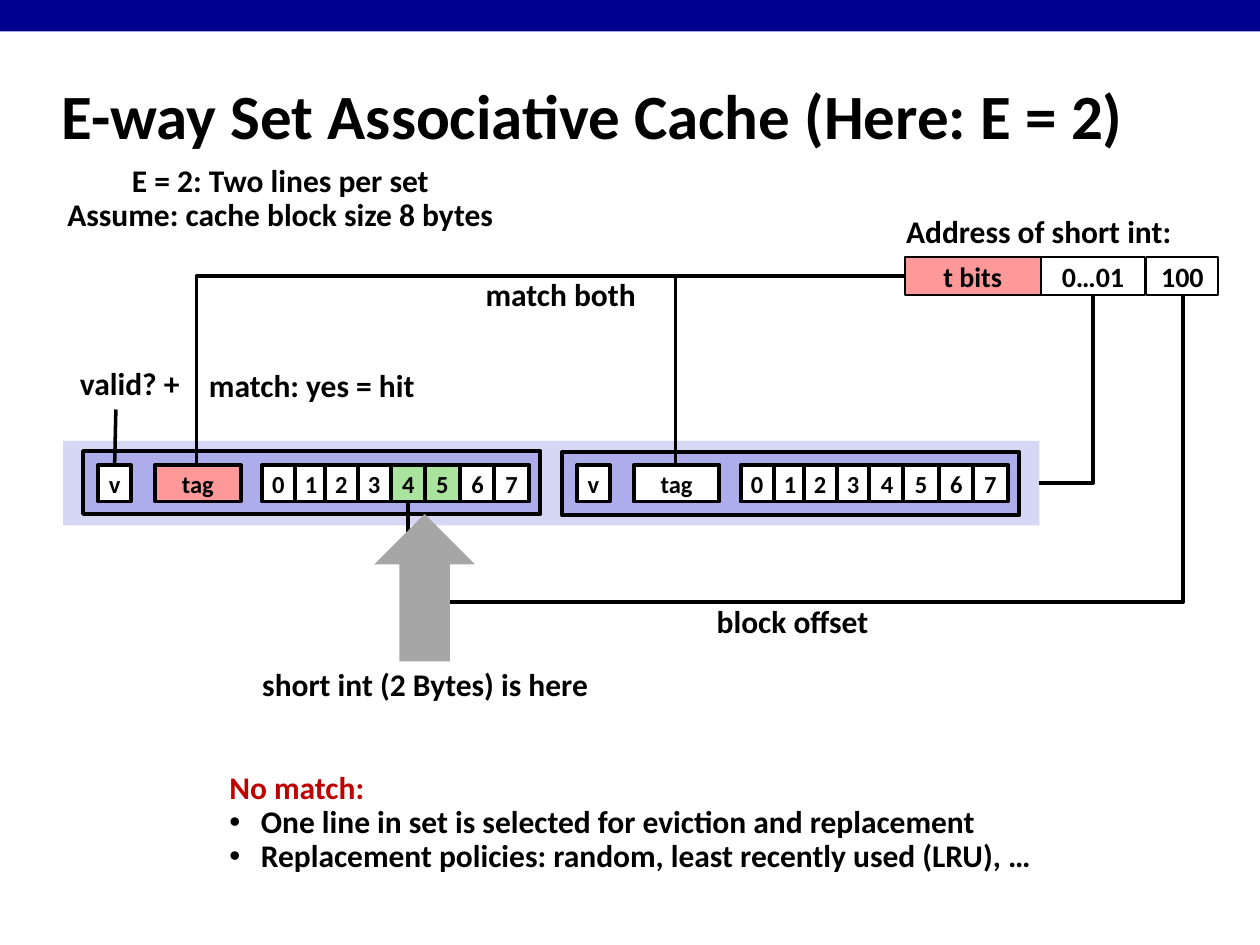
from lxml import etree
from pptx import Presentation
from pptx.dml.color import RGBColor
from pptx.enum import shapes, text
from pptx.oxml.ns import qn
from pptx.util import Inches, Pt

FONT = "Calibri"
BLACK, WHITE, RED = "000000", "FFFFFF", "C00000"
NAVY, PINK, GREEN, GRAY = "000090", "FF9999", "A9E39D", "A6A6A6"
SET_BLUE, LINE_BLUE = "D6D6F5", "ADADEB"
LEFT, CENTER = text.PP_ALIGN.LEFT, text.PP_ALIGN.CENTER
TOP, MIDDLE = text.MSO_ANCHOR.TOP, text.MSO_ANCHOR.MIDDLE
FIT, FIXED = text.MSO_AUTO_SIZE.SHAPE_TO_FIT_TEXT, text.MSO_AUTO_SIZE.NONE


def paint(color_format, hex_color):
    color_format.rgb = RGBColor.from_string(hex_color)


def place(shape, left, top, width, height):
    shape.left, shape.top = Inches(left), Inches(top)
    shape.width, shape.height = Inches(width), Inches(height)


def write(shape, lines, size=18, color=BLACK, align=CENTER, anchor=TOP,
          spacing=0.9, wrap=False, fit=FIXED, inset=None):
    """Fill a shape with bold paragraphs, one for each line."""
    frame = shape.text_frame
    frame.word_wrap, frame.auto_size = wrap, fit
    frame.vertical_anchor = anchor
    if inset is not None:
        frame.margin_left = frame.margin_right = Inches(inset)
        frame.margin_top = frame.margin_bottom = Inches(inset)
    for index, line in enumerate(lines):
        paragraph = frame.paragraphs[0] if index == 0 else frame.add_paragraph()
        paragraph.alignment, paragraph.line_spacing = align, spacing
        paragraph.space_before = Pt(0)
        run = paragraph.add_run()
        run.text = line
        run.font.name, run.font.size, run.font.bold = FONT, Pt(size), True
        paint(run.font.color, color)


def indent(paragraph, hanging, bullet=None):
    """Set a hanging indent and a bullet, or no bullet."""
    properties = paragraph._p.get_or_add_pPr()
    properties.set("marL", str(Inches(hanging)))
    properties.set("indent", str(-Inches(hanging)))
    if bullet:
        font = etree.SubElement(properties, qn("a:buFont"))
        font.set("typeface", "Arial")
        etree.SubElement(properties, qn("a:buChar")).set("char", bullet)
    else:
        etree.SubElement(properties, qn("a:buNone"))


def label(slide, lines, left, top, width, height=0.4):
    box = slide.shapes.add_textbox(0, 0, 0, 0)
    write(box, lines, fit=FIT)
    place(box, left, top, width, height)


def block(parent, left, top, width, height, fill, line=None,
          kind=shapes.MSO_SHAPE.RECTANGLE):
    shape = parent.shapes.add_shape(
        kind, Inches(left), Inches(top), Inches(width), Inches(height))
    shape.shadow.inherit = False
    shape.fill.solid()
    paint(shape.fill.fore_color, fill)
    if line:
        paint(shape.line.color, BLACK)
        shape.line.width = Pt(line)
    else:
        shape.line.fill.background()
    return shape


def wire(slide, start, end, preset="line", rotation=0, adjust=None):
    """Connect two points; rotated bends are given by their unrotated frame."""
    connector = slide.shapes.add_connector(
        shapes.MSO_CONNECTOR.STRAIGHT, *(Inches(v) for v in (*start, *end)))
    paint(connector.line.color, BLACK)
    connector.line.width = Pt(2)
    properties = connector._element.spPr
    etree.SubElement(properties, qn("a:effectLst"))
    geometry = properties.find(qn("a:prstGeom"))
    geometry.set("prst", preset)
    if rotation:
        properties.find(qn("a:xfrm")).set("rot", str(rotation * 60000))
    if adjust is not None:
        guides = geometry.find(qn("a:avLst"))
        if guides is None:
            guides = etree.SubElement(geometry, qn("a:avLst"))
        guide = etree.SubElement(guides, qn("a:gd"))
        guide.set("name", "adj1")
        guide.set("fmla", f"val {round(adjust * 100000)}")


def cache_line(parent, left, top, tag_fill, hits=()):
    """Draw one cache line: valid bit, tag and eight bytes."""
    block(parent, left, top, 3.63, 0.5, LINE_BLUE, 2.25)
    cells = [("v", 0.12, 0.26, WHITE), ("tag", 0.57, 0.68, tag_fill)]
    byte_offsets = (1.42, 1.68, 1.92, 2.18, 2.44, 2.71, 2.99, 3.26)
    for byte, offset in enumerate(byte_offsets):
        cells.append((str(byte), offset, 0.26 if byte < 4 else 0.28,
                      GREEN if byte in hits else WHITE))
    for name, offset, width, fill in cells:
        cell = block(parent, left + offset, 3.69, width, 0.29, fill, 2.25)
        write(cell, [name], size=14, anchor=MIDDLE, spacing=1, wrap=True, inset=0)


def headings(slide):
    block(slide, 0, 0, 10, 0.25, NAVY)
    title = slide.shapes.title
    place(title, 0.39, 0.49, 9.02, 0.83)
    write(title, ["E-way Set Associative Cache (Here: E = 2)"], size=36,
          align=LEFT, anchor=MIDDLE, spacing=1, wrap=True)
    indent(title.text_frame.paragraphs[0], 0.13)
    label(slide, ["E = 2: Two lines per set", "Assume: cache block size 8 bytes"],
          0.42, 1.26, 3.61, 0.71)


def address(slide):
    fields = (("t bits", 7.18, 1.08, PINK), ("0…01", 8.26, 0.83, WHITE),
              ("100", 9.1, 0.57, WHITE))
    for bits, left, width, fill in fields:
        field = block(slide, left, 2.04, width, 0.3, fill, 1)
        write(field, [bits], size=16, anchor=MIDDLE, spacing=1)
    label(slide, ["Address of short int:"], 7.08, 1.67, 2.33)


def cache_set(slide):
    group = slide.shapes.add_group_shape()
    block(group, 0.5, 3.5, 7.75, 0.67, SET_BLUE)
    cache_line(group, 0.66, 3.58, PINK, hits=(4, 5))
    cache_line(group, 4.46, 3.59, WHITE)


def lookup(slide):
    # Set index
    wire(slide, (7.71, 2.87), (9.21, 3.3), "bentConnector2", rotation=90)
    # Tag comparison in both lines
    for tag_center in (5.36, 1.56):
        wire(slide, (7.18, 2.19), (tag_center, 3.69), "bentConnector2")
    label(slide, ["match both"], 3.75, 2.17, 1.4)
    wire(slide, (0.92, 3.25), (0.91, 3.69))
    label(slide, ["valid? +"], 0.47, 2.87, 1.12)
    label(slide, ["match: yes = hit"], 1.55, 2.89, 1.85)
    # Block offset
    wire(slide, (5.49, 0.08), (7.14, 6.23), "bentConnector3",
         rotation=90, adjust=1.484)
    label(slide, ["block offset"], 5.58, 4.76, 1.42)
    block(slide, 2.97, 4.08, 0.8, 1.17, GRAY, kind=shapes.MSO_SHAPE.UP_ARROW)
    label(slide, ["short int (2 Bytes) is here"], 1.97, 5.26, 2.81)


def no_match(slide):
    policies = slide.placeholders[1]
    place(policies, 1.72, 6.08, 6.61, 0.92)
    write(policies, ["No match:",
                     "One line in set is selected for eviction and replacement",
                     "Replacement policies: random, least recently used (LRU), …"],
          align=LEFT, fit=FIT)
    heading, *items = policies.text_frame.paragraphs
    paint(heading.runs[0].font.color, RED)
    indent(heading, 0)
    for item in items:
        indent(item, 0.25, "•")


def main():
    deck = Presentation()
    deck.slide_width, deck.slide_height = Inches(10), Inches(7.5)
    slide = deck.slides.add_slide(deck.slide_layouts[1])
    headings(slide)
    address(slide)
    cache_set(slide)
    lookup(slide)
    no_match(slide)
    deck.save("out.pptx")


main()
